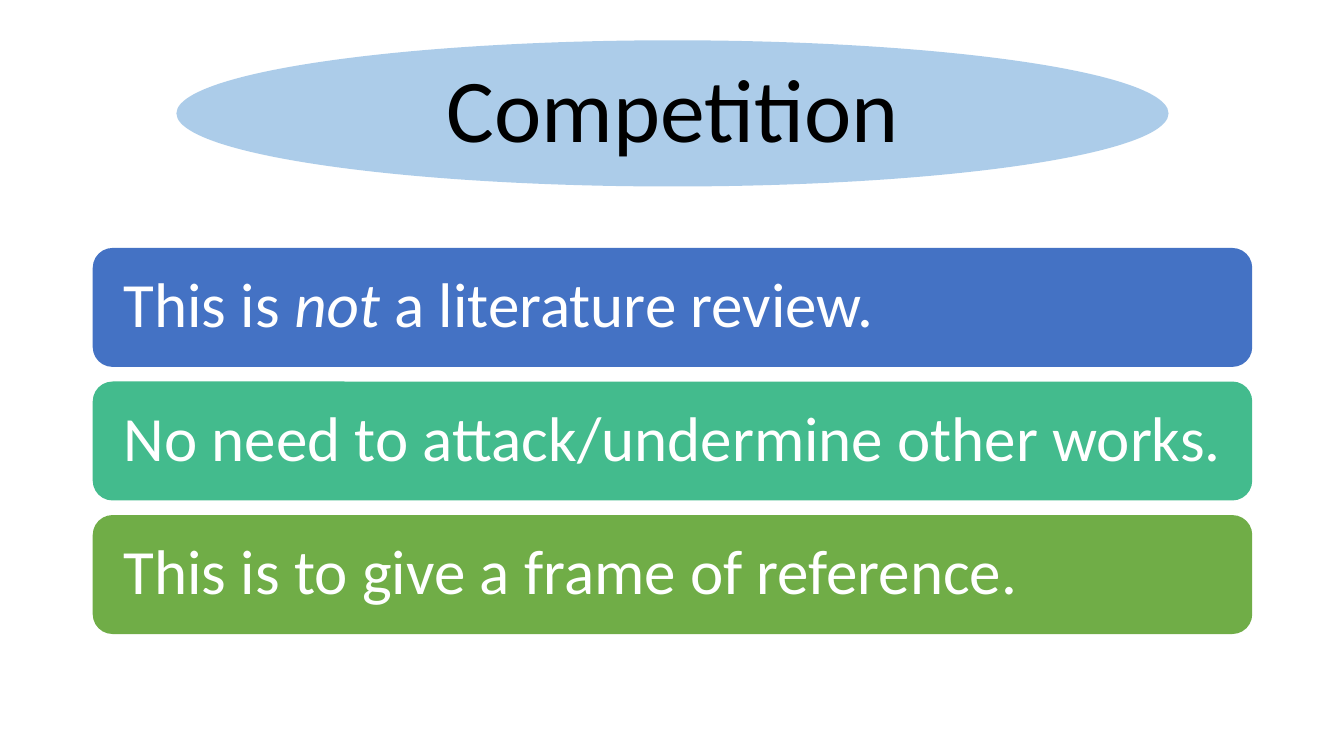
from lxml.etree import SubElement
from pptx import Presentation
from pptx.dml.color import RGBColor
from pptx.enum.shapes import MSO_SHAPE
from pptx.enum.text import MSO_ANCHOR, MSO_AUTO_SIZE, PP_ALIGN
from pptx.oxml.ns import qn
from pptx.util import Inches, Pt

TITLE = "Competition"
# Each point: fill colour name, then (text, italic) runs
POINTS = [
    ("blue", [("This is ", False), ("not", True), (" a literature review.", False)]),
    ("teal", [("No need to attack/undermine other works.", False)]),
    ("green", [("This is to give a frame of reference.", False)]),
]
COLORS = {
    "ellipse": "5B9BD5",
    "blue": "4472C4",
    "teal": "43BB8D",
    "green": "70AD47",
    "black": "000000",
    "white": "FFFFFF",
}
FONT = "Calibri"
BAR_LEFT, BAR_TOP, BAR_WIDTH, BAR_HEIGHT = 0.92, 2.46, 11.5, 1.18
BAR_PITCH = 1.325
BAR_INSET = 0.25


def add_filled(slide, preset, left, top, width, height, color):
    shape = slide.shapes.add_shape(
        preset, Inches(left), Inches(top), Inches(width), Inches(height))
    shape.shadow.inherit = False
    shape.fill.solid()
    shape.fill.fore_color.rgb = RGBColor.from_string(COLORS[color])
    shape.line.fill.background()
    return shape


def write_line(shape, runs, size, color, align, inset):
    frame = shape.text_frame
    frame.word_wrap = True
    frame.auto_size = MSO_AUTO_SIZE.NONE
    frame.vertical_anchor = MSO_ANCHOR.MIDDLE
    frame.margin_left = frame.margin_right = Inches(inset)
    frame.margin_top = frame.margin_bottom = Inches(inset)
    paragraph = frame.paragraphs[0]
    paragraph.alignment = align
    paragraph.line_spacing = 0.9
    for text, italic in runs:
        run = paragraph.add_run()
        run.text = text
        run.font.name = FONT
        run.font.size = Pt(size)
        run.font.italic = italic
        run.font.color.rgb = RGBColor.from_string(COLORS[color])


def add_title(slide):
    title = slide.shapes.title
    title.left, title.top = Inches(3.19), Inches(0.61)
    title.width, title.height = Inches(6.96), Inches(1.03)
    write_line(title, [(TITLE, False)], 64, "black", PP_ALIGN.CENTER, 0)

    ellipse = add_filled(slide, MSO_SHAPE.OVAL, 1.75, 0.4, 9.84, 1.45, "ellipse")
    fill_color = ellipse.element.spPr.find(qn("a:solidFill"))[0]
    SubElement(fill_color, qn("a:alpha")).set("val", "50000")
    title.element.addprevious(ellipse.element)  # ellipse goes behind the title


def add_points(slide):
    for row, (color, runs) in enumerate(POINTS):
        bar = add_filled(slide, MSO_SHAPE.ROUNDED_RECTANGLE, BAR_LEFT,
                         BAR_TOP + row * BAR_PITCH, BAR_WIDTH, BAR_HEIGHT, color)
        write_line(bar, runs, 45, "white", PP_ALIGN.LEFT, BAR_INSET)


def main():
    deck = Presentation()
    deck.slide_width, deck.slide_height = Inches(13.33), Inches(7.5)
    slide = deck.slides.add_slide(deck.slide_layouts[5])
    add_title(slide)
    add_points(slide)
    deck.save("out.pptx")


if __name__ == "__main__":
    main()
